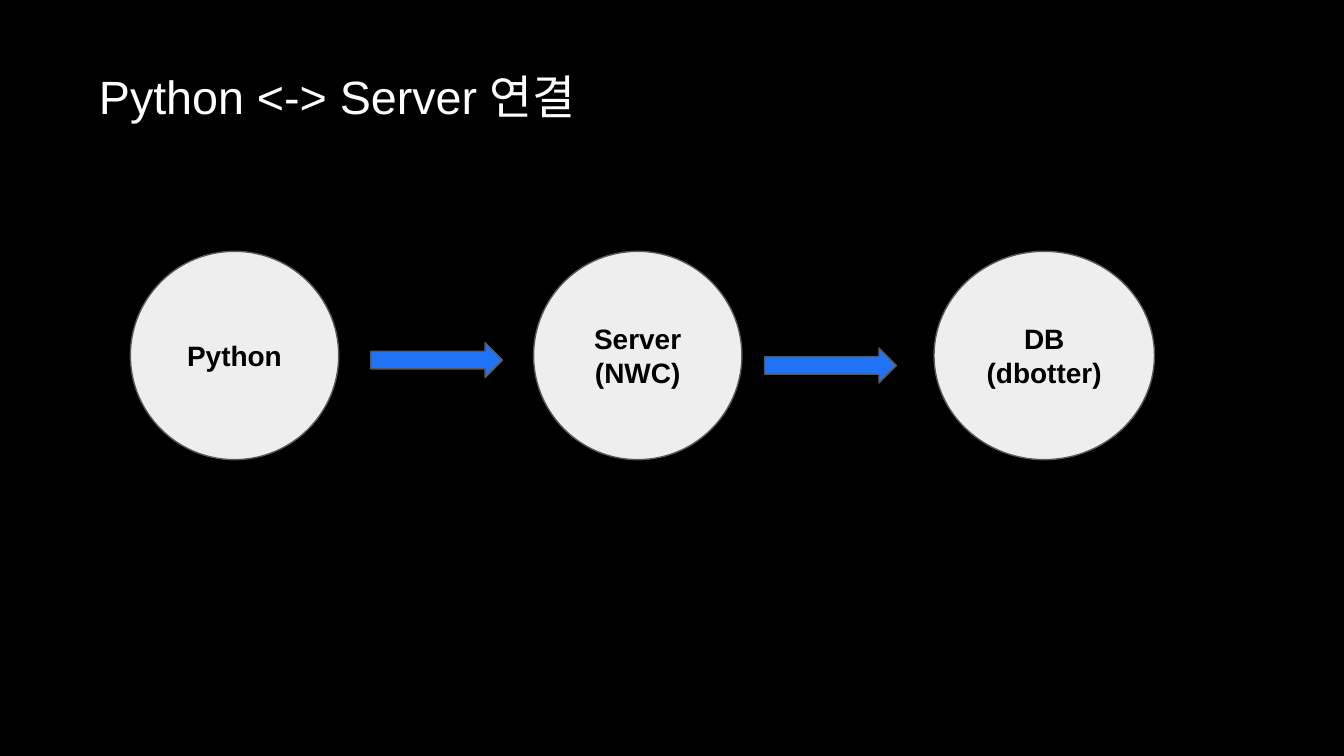
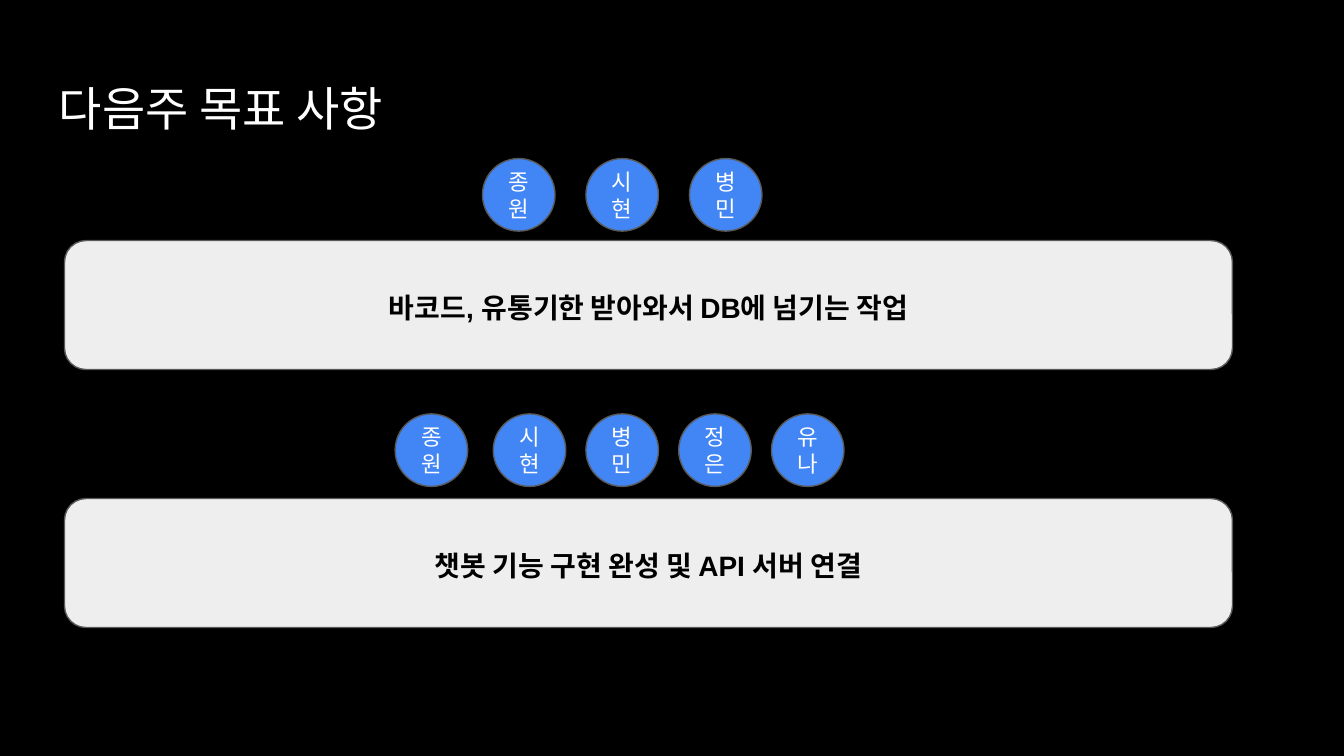
"""Build two dark slides: a server link diagram and next week's goals."""
import pptx
import pptx.dml.color
import pptx.enum.shapes
import pptx.enum.text
import pptx.util
from dataclasses import dataclass

PX = 9144
WIDE = 1000
HIGH = WIDE * 9 / 16
KIND = pptx.enum.shapes.MSO_SHAPE
ALIGN = pptx.enum.text.PP_ALIGN
ANCHOR = pptx.enum.text.MSO_ANCHOR


@dataclass(frozen=True)
class Theme:
    """Colours and type sizes of both slides."""
    back: str = "000000"
    pale: str = "EEEEEE"
    edge: str = "595959"
    arrow: str = "2073F7"
    badge: str = "4285F4"
    dark: str = "000000"
    light: str = "FFFFFF"
    face: str = "Arial"
    head: float = 25
    goal: float = 25.2
    body: float = 15
    small: float = 12


THEME = Theme()

LINK = "Python <-> Server 연결"
NODES = [
    (97, 155, ["Python"]),
    (397, 155, ["Server", "(NWC)"]),
    (695, 164, ["DB", "(dbotter)"]),
]
ARROWS = [(276, 255), (569, 259)]

PLAN = "다음주 목표 사항"
GOALS = [
    {"text": "바코드, 유통기한 받아와서 DB에 넘기는 작업",
     "bar": 179, "top": 118,
     "team": {"종원": 359, "시현": 436, "병민": 513}},
    {"text": "챗봇 기능 구현 완성 및 API 서버 연결",
     "bar": 371, "top": 308,
     "team": {"종원": 294, "시현": 367, "병민": 436, "정은": 505, "유나": 574}},
]


def tint(code):
    """Turn a hex code into a colour."""
    return pptx.dml.color.RGBColor.from_string(code)


def write(frame, lines, size, color, bold=False, align=ALIGN.CENTER, space=None):
    """Fill a text frame with one paragraph a line."""
    frame.word_wrap = True
    frame.margin_left = frame.margin_right = 10 * PX
    frame.margin_top = frame.margin_bottom = 10 * PX
    for i, line in enumerate(lines):
        para = frame.add_paragraph() if i else frame.paragraphs[0]
        para.text = line
        para.alignment = align
        para.line_spacing = space
        para.font.name = THEME.face
        para.font.size = pptx.util.Pt(size)
        para.font.bold = bold
        para.font.color.rgb = tint(color)


def scale(box):
    """Turn px lengths into EMU."""
    return [n * PX for n in box]


def draw(slide, kind, box, fill):
    """Add a filled, outlined shape."""
    shape = slide.shapes.add_shape(kind, *scale(box))
    shape.shadow.inherit = False
    shape.fill.solid()
    shape.fill.fore_color.rgb = tint(fill)
    shape.line.color.rgb = tint(THEME.edge)
    shape.line.width = pptx.util.Pt(0.75)
    shape.text_frame.vertical_anchor = ANCHOR.MIDDLE
    return shape


def start(deck, title, box, size, align, space=None):
    """Add a dark slide with its title."""
    slide = deck.slides.add_slide(deck.slide_layouts[6])
    slide.background.fill.solid()
    slide.background.fill.fore_color.rgb = tint(THEME.back)
    frame = slide.shapes.add_textbox(*scale(box)).text_frame
    write(frame, [title], size, THEME.light, align=align, space=space)
    return slide


def link(deck):
    """Build the chain of nodes and arrows."""
    slide = start(deck, LINK, (19, 34, 464, 63), THEME.head, ALIGN.CENTER, 1.15)
    for left, wide, lines in NODES:
        node = draw(slide, KIND.OVAL, (left, 187, wide, 155), THEME.pale)
        write(node.text_frame, lines, THEME.body, THEME.dark, bold=True)
    for left, top in ARROWS:
        draw(slide, KIND.RIGHT_ARROW, (left, top, 98, 26), THEME.arrow)


def plan(deck):
    """Build the goal bars with their teams."""
    slide = start(deck, PLAN, (34, 49, 932, 63), THEME.goal, ALIGN.LEFT)
    for goal in GOALS:
        bar = draw(slide, KIND.ROUNDED_RECTANGLE, (48, goal["bar"], 869, 96), THEME.pale)
        write(bar.text_frame, [goal["text"]], THEME.body, THEME.dark, bold=True, space=1.15)
        for name, left in goal["team"].items():
            badge = draw(slide, KIND.OVAL, (left, goal["top"], 54, 54), THEME.badge)
            write(badge.text_frame, [name], THEME.small, THEME.light)


def main():
    """Build and save the deck."""
    deck = pptx.Presentation()
    deck.slide_width = WIDE * PX
    deck.slide_height = int(HIGH * PX)
    link(deck)
    plan(deck)
    deck.save("out.pptx")


if __name__ == "__main__":
    main()
